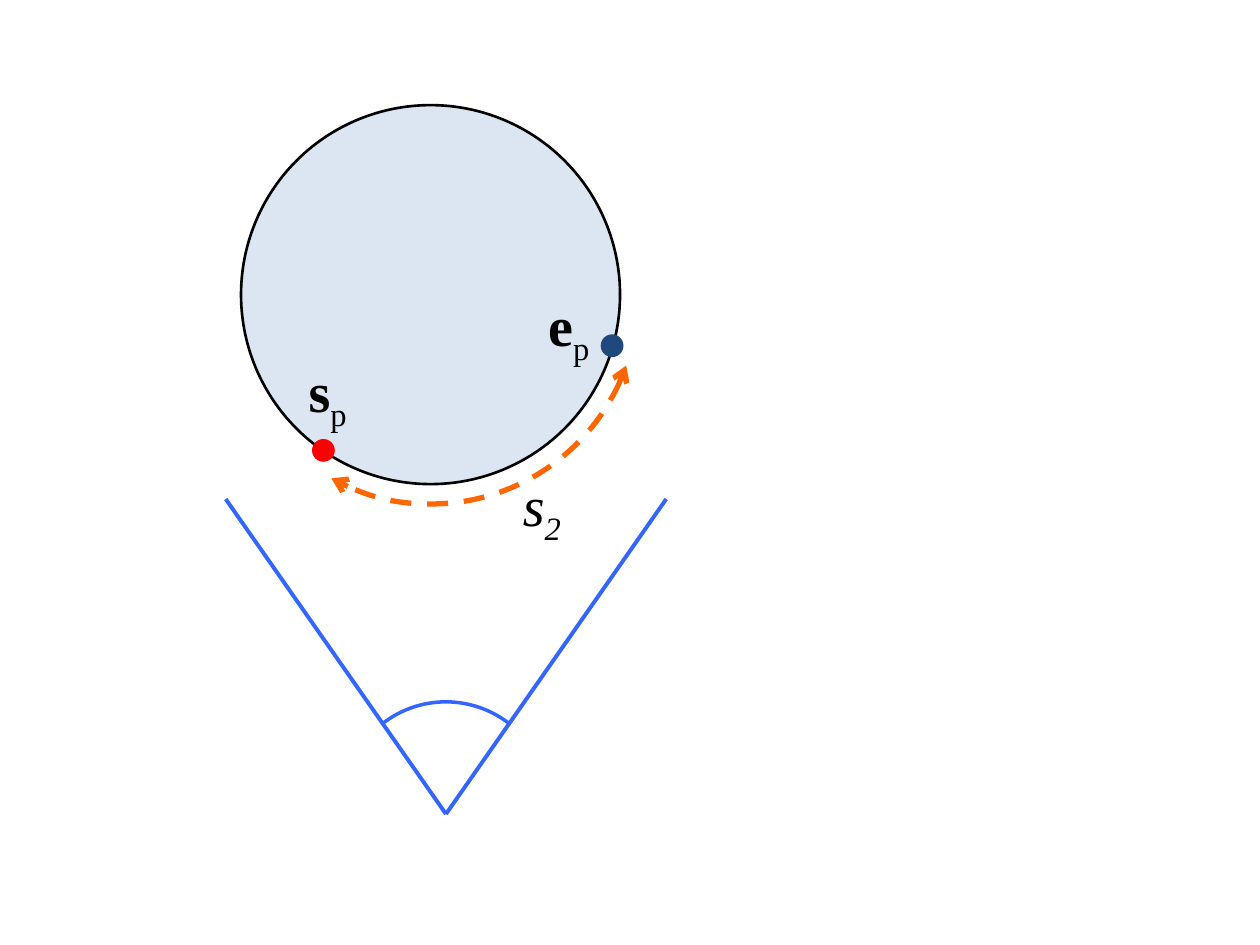
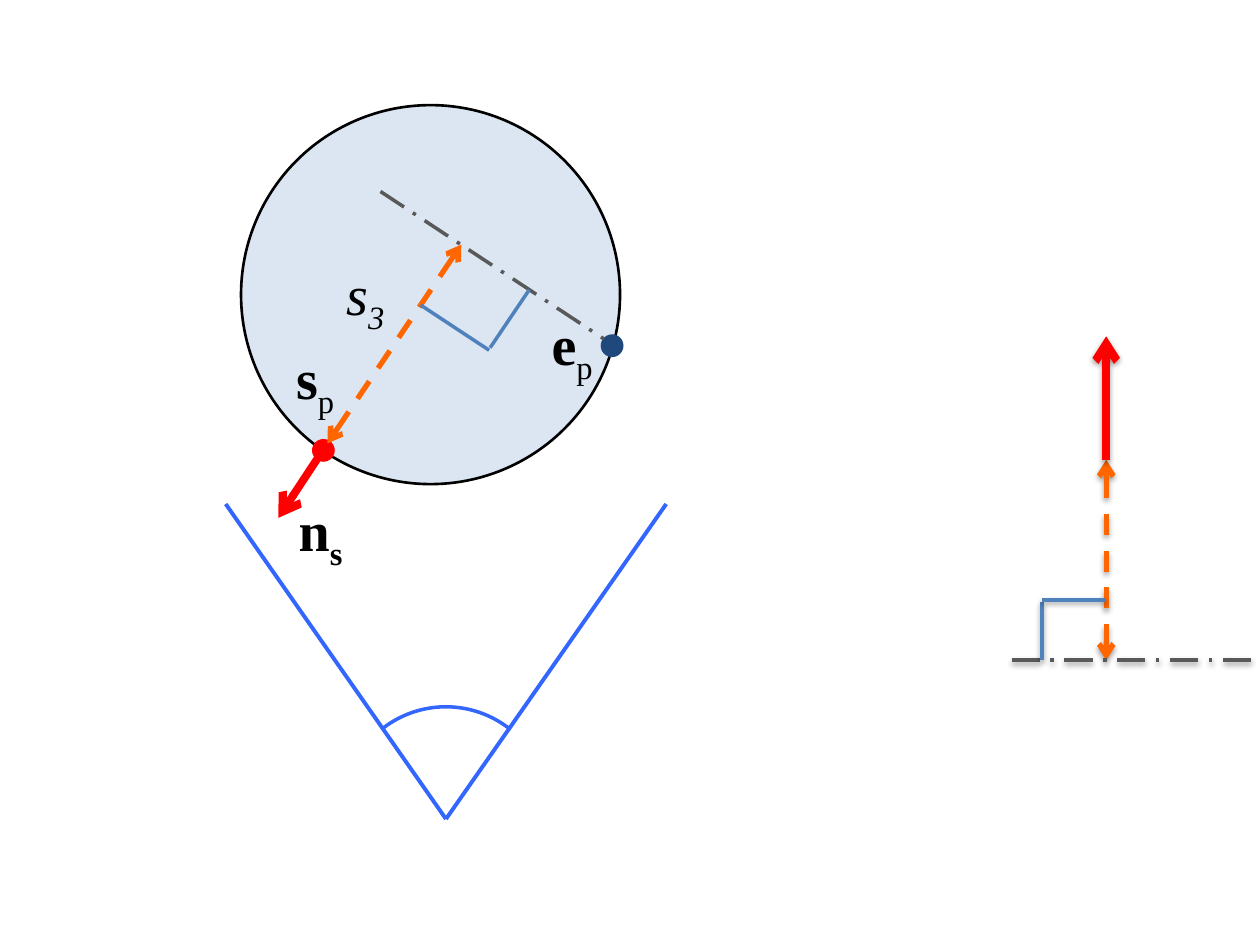
"""Build two slides on the distances between points on a circle seen by a camera."""
from dataclasses import dataclass
from typing import NamedTuple, Optional

from lxml import etree
from pptx import Presentation
from pptx.dml.color import RGBColor
from pptx.enum.dml import MSO_LINE
from pptx.enum.shapes import MSO_CONNECTOR, MSO_SHAPE
from pptx.enum.text import MSO_AUTO_SIZE
from pptx.oxml.ns import qn
from pptx.util import Cm, Pt

STRAIGHT = MSO_CONNECTOR.STRAIGHT
ELLIPSE = MSO_SHAPE.OVAL
ARC = MSO_SHAPE.ARC
DASH = MSO_LINE.DASH
LONG_DASH_DOT = MSO_LINE.LONG_DASH_DOT
FIT_SHAPE = MSO_AUTO_SIZE.SHAPE_TO_FIT_TEXT
BLANK_LAYOUT = 6


class Point(NamedTuple):
    x: float
    y: float


@dataclass(frozen=True)
class Stroke:
    color: str
    width: float
    dash: Optional[MSO_LINE] = None
    head: bool = False
    tail: bool = False


@dataclass(frozen=True)
class Theme:
    font: str = "Times New Roman"
    text_size: float = 32
    text_color: str = "000000"
    disc: str = "DCE6F2"
    start: str = "FF0000"
    end: str = "1F497D"
    outline: Stroke = Stroke("000000", 1.5)
    view_side: Stroke = Stroke("3366FF", 2.25)
    view_angle: Stroke = Stroke("3366FF", 2)
    distance: Stroke = Stroke("FF6600", 3, DASH, head=True, tail=True)
    axis: Stroke = Stroke("595959", 2, LONG_DASH_DOT)
    mark: Stroke = Stroke("4F81BD", 2)
    normal: Stroke = Stroke("FF0000", 4.5, tail=True)


@dataclass(frozen=True)
class Label:
    left: float
    top: float
    width: float
    symbol: str
    subscript: str
    bold: bool = True
    subscript_bold: bool = False
    italic: bool = False


@dataclass(frozen=True)
class NormalFigure:
    start: Point
    foot: Point
    tip: Point
    axis: tuple[Point, Point]
    marks: tuple[tuple[Point, Point], ...]
    shadow: bool = False


THEME = Theme()
DISC_CENTER, DISC_RADIUS = Point(8.68, 5.94), 3.82
START_POINT, END_POINT, DOT_RADIUS = Point(6.52, 9.08), Point(12.34, 6.97), 0.23
VIEW_X, VIEW_HALF_WIDTH, VIEW_HEIGHT = 8.99, 4.44, 6.35
LABEL_HEIGHT = 1.63

ARC_LABELS = (
    Label(10.29, 9.37, 1.37, "s", "2", bold=False, italic=True),
    Label(5.97, 7.06, 2.29, "s", "p"),
    Label(10.8, 5.74, 2.01, "e", "p"),
)
NORMAL_LABELS = (
    Label(6.73, 5.11, 1.37, "s", "3", bold=False, italic=True),
    Label(5.72, 6.81, 2.34, "s", "p"),
    Label(10.87, 6.12, 1.78, "e", "p"),
    Label(5.77, 9.86, 2.64, "n", "s", subscript_bold=True),
)
UPRIGHT_FIGURE = NormalFigure(
    start=Point(22.3, 9.27),
    foot=Point(22.3, 13.31),
    tip=Point(22.3, 6.78),
    axis=(Point(25.22, 13.31), Point(20.27, 13.31)),
    marks=((Point(21.01, 12.14), Point(21.01, 13.31)),
           (Point(21.01, 12.09), Point(22.3, 12.09))),
    shadow=True,
)
DISC_FIGURE = NormalFigure(
    start=Point(6.6, 8.94),
    foot=Point(9.3, 4.93),
    tip=Point(5.61, 10.44),
    axis=(Point(7.67, 3.86), Point(12.17, 6.83)),
    marks=((Point(9.88, 7.01), Point(10.67, 5.84)),
           (Point(9.86, 7.06), Point(8.48, 6.15))),
)


def apply_stroke(shape, stroke: Stroke) -> None:
    """Give a shape or connector its line colour, width, dash and arrowheads."""
    shape.line.color.rgb = RGBColor.from_string(stroke.color)
    shape.line.width = Pt(stroke.width)
    if stroke.dash is not None:
        shape.line.dash_style = stroke.dash
    outline = shape.element.spPr.find(qn("a:ln"))
    for tag, wanted in (("a:headEnd", stroke.head), ("a:tailEnd", stroke.tail)):
        if wanted:
            etree.SubElement(outline, qn(tag), type="arrow")


def add_line(shapes, begin: Point, end: Point, stroke: Stroke, *, shadow: bool = False) -> None:
    """Draw a straight line, with a soft shadow below it if wanted."""
    connector = shapes.add_connector(STRAIGHT, Cm(begin.x), Cm(begin.y), Cm(end.x), Cm(end.y))
    apply_stroke(connector, stroke)
    effects = etree.SubElement(connector.element.spPr, qn("a:effectLst"))
    if shadow:
        outer = etree.SubElement(effects, qn("a:outerShdw"), blurRad="40000", dist="20000",
                                 dir="5400000", rotWithShape="0")
        color = etree.SubElement(outer, qn("a:srgbClr"), val="000000")
        etree.SubElement(color, qn("a:alpha"), val="38000")


def add_round(slide, kind: MSO_SHAPE, center: Point, radius: float, *,
              fill: Optional[str] = None, stroke: Optional[Stroke] = None):
    """Draw a round shape about its centre and return it."""
    shape = slide.shapes.add_shape(kind, Cm(center.x - radius), Cm(center.y - radius),
                                   Cm(2 * radius), Cm(2 * radius))
    shape.shadow.inherit = False
    if fill is None:
        shape.fill.background()
    else:
        shape.fill.solid()
        shape.fill.fore_color.rgb = RGBColor.from_string(fill)
    if stroke is None:
        shape.line.fill.background()
    else:
        apply_stroke(shape, stroke)
    return shape


def add_arc(slide, center: Point, radius: float, angles: tuple[float, float],
            stroke: Stroke) -> None:
    """Draw an arc between two angles in degrees, clockwise from the right."""
    arc = add_round(slide, ARC, center, radius, stroke=stroke)
    for index, angle in enumerate(angles):
        arc.adjustments[index] = angle * 0.6


def add_disc(slide) -> None:
    """Draw the disc with its start and end points."""
    add_round(slide, ELLIPSE, DISC_CENTER, DISC_RADIUS, fill=THEME.disc, stroke=THEME.outline)
    add_round(slide, ELLIPSE, START_POINT, DOT_RADIUS, fill=THEME.start)
    add_round(slide, ELLIPSE, END_POINT, DOT_RADIUS, fill=THEME.end)


def add_view(slide, apex_y: float) -> None:
    """Draw the camera's field of view above its apex."""
    apex = Point(VIEW_X, apex_y)
    for side in (VIEW_HALF_WIDTH, -VIEW_HALF_WIDTH):
        add_line(slide.shapes, Point(VIEW_X + side, apex_y - VIEW_HEIGHT), apex, THEME.view_side)
    add_arc(slide, Point(VIEW_X, apex_y - 0.18), 2.08, (232.6, 308.6), THEME.view_angle)


def add_normal_figure(slide, figure: NormalFigure) -> None:
    """Draw a grouped normal, distance, axis and right-angle mark."""
    shapes = slide.shapes.add_group_shape().shapes
    lines = [
        (figure.start, figure.foot, THEME.distance),
        (*figure.axis, THEME.axis),
        *((*mark, THEME.mark) for mark in figure.marks),
        (figure.start, figure.tip, THEME.normal),
    ]
    for begin, end, stroke in lines:
        add_line(shapes, begin, end, stroke, shadow=figure.shadow)


def add_run(paragraph, text: str, *, bold: bool, italic: bool, subscript: bool = False) -> None:
    """Add formatted text to a paragraph, lowered if it is a subscript."""
    run = paragraph.add_run()
    run.text = text
    run.font.name = THEME.font
    run.font.size = Pt(THEME.text_size)
    run.font.color.rgb = RGBColor.from_string(THEME.text_color)
    run.font.bold = bold
    run.font.italic = italic
    if subscript:
        run._r.get_or_add_rPr().set("baseline", "-25000")


def add_label(slide, label: Label) -> None:
    """Write a symbol with its subscript."""
    box = slide.shapes.add_textbox(Cm(label.left), Cm(label.top), Cm(label.width),
                                   Cm(LABEL_HEIGHT))
    frame = box.text_frame
    frame.word_wrap = True
    frame.auto_size = FIT_SHAPE
    paragraph = frame.paragraphs[0]
    add_run(paragraph, label.symbol, bold=label.bold, italic=label.italic)
    add_run(paragraph, label.subscript, bold=label.subscript_bold, italic=label.italic,
            subscript=True)


def add_diagram(presentation, apex_y: float, labels: tuple[Label, ...], *,
                figures: tuple[NormalFigure, ...] = (), with_arc: bool = False) -> None:
    """Add a slide with the disc, the view, its distances and its labels."""
    slide = presentation.slides.add_slide(presentation.slide_layouts[BLANK_LAYOUT])
    add_disc(slide)
    add_view(slide, apex_y)
    if with_arc:
        add_arc(slide, Point(8.69, 5.99), 4.17, (19.33, 118.82), THEME.distance)
    for figure in figures:
        add_normal_figure(slide, figure)
    for label in labels:
        add_label(slide, label)


def main() -> None:
    """Build and save the presentation."""
    presentation = Presentation()
    presentation.slide_width, presentation.slide_height = Cm(25.4), Cm(19.05)
    add_diagram(presentation, 16.41, ARC_LABELS, with_arc=True)
    add_diagram(presentation, 16.51, NORMAL_LABELS, figures=(UPRIGHT_FIGURE, DISC_FIGURE))
    presentation.save("out.pptx")


main()
